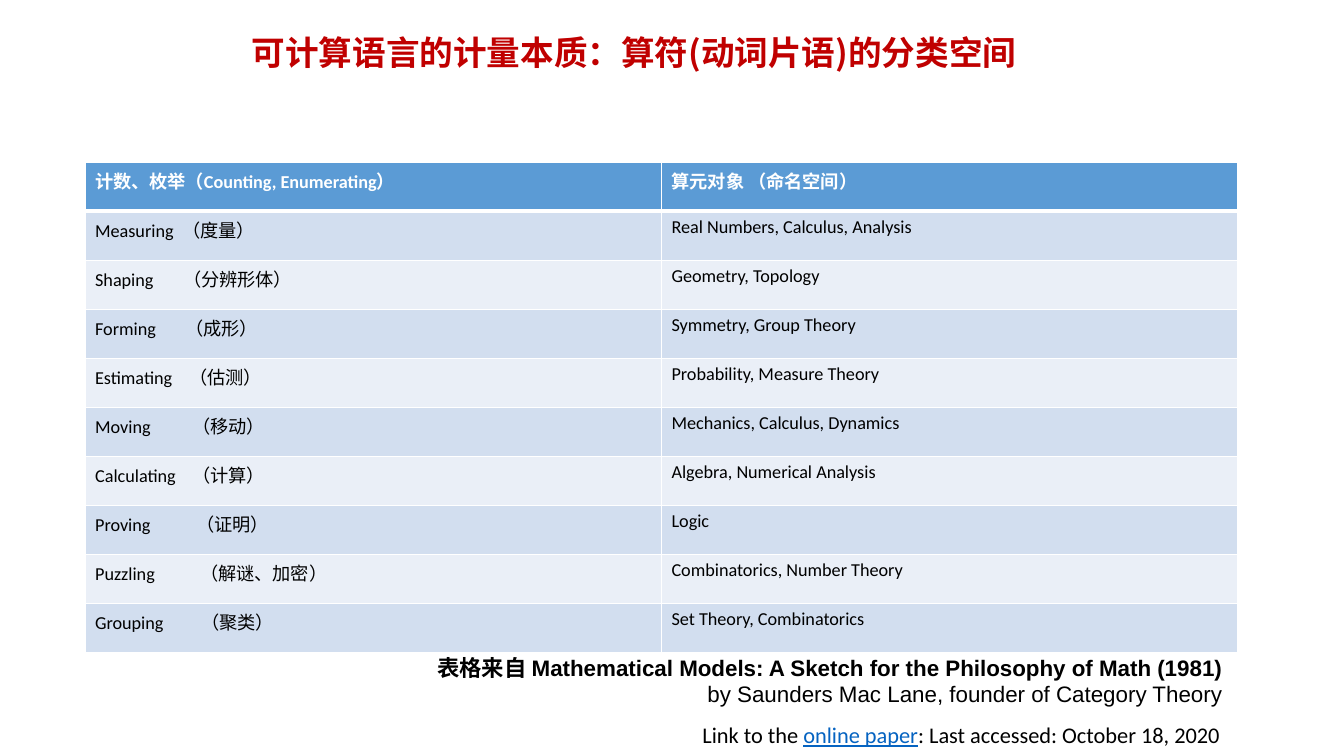
from lxml import etree
from pptx import Presentation
from pptx.dml.color import RGBColor
from pptx.enum.text import MSO_ANCHOR, PP_ALIGN
from pptx.oxml.ns import qn
from pptx.util import Pt

CENTER, MIDDLE = PP_ALIGN.CENTER, MSO_ANCHOR.MIDDLE
RED = RGBColor(0xC0, 0x00, 0x00)
BLACK = RGBColor(0x00, 0x00, 0x00)
WHITE = RGBColor(0xFF, 0xFF, 0xFF)
LINK_BLUE = RGBColor(0x05, 0x63, 0xC1)
HEADER_BLUE = RGBColor(0x5B, 0x9B, 0xD5)
BANDS = (RGBColor(0xEA, 0xEF, 0xF7), RGBColor(0xD2, 0xDE, 0xEF))
CJK_FONT = "Noto Sans CJK SC"

# Content
TITLE = "可计算语言的计量本质：算符(动词片语)的分类空间"
HEADER = ("计数、枚举（Counting, Enumerating）", "算元对象 （命名空间）")
# Verb, its Chinese gloss, tab stop of the gloss in px, fields
ACTIVITIES = [
    ("Measuring", "（度量）", 87, "Real Numbers, Calculus, Analysis"),
    ("Shaping", "（分辨形体）", 88, "Geometry, Topology"),
    ("Forming", "（成形）", 90, "Symmetry, Group Theory"),
    ("Estimating", "（估测）", 94, "Probability, Measure Theory"),
    ("Moving", "（移动）", 97, "Mechanics, Calculus, Dynamics"),
    ("Calculating", "（计算）", 97, "Algebra, Numerical Analysis"),
    ("Proving", "（证明）", 101, "Logic"),
    ("Puzzling", "（解谜、加密）", 105, "Combinatorics, Number Theory"),
    ("Grouping", "（聚类）", 106, "Set Theory, Combinatorics"),
]
# Left, top, width, height in px; font; bold; spans as (text, is link)
CAPTIONS = [
    ((427, 648, 878, 37), "Arial", True,
     [("表格来自 Mathematical Models: A Sketch for the Philosophy of Math (1981)", False)]),
    ((697, 674, 539, 37), "Arial", False,
     [("by Saunders Mac Lane, founder of Category Theory", False)]),
    ((692, 715, 544, 37), "Calibri", False,
     [("Link to the ", False), ("online paper", True),
      (": Last accessed: October 18, 2020", False)]),
]
TABLE_LEFT, TABLE_TOP, COLUMN_WIDTH, ROW_HEIGHT = 85, 162, 576, 49


def px(*lengths):
    return [length * 9080 for length in lengths]


def style(span, font, size, color, bold=False):
    span.font.name = font
    span.font.size = Pt(size)
    span.font.bold = bold
    span.font.color.rgb = color
    east_asian = etree.SubElement(span.font._element, qn("a:ea"))
    east_asian.set("typeface", CJK_FONT)


def add_border(cell, side, points):
    line = etree.SubElement(cell._tc.get_or_add_tcPr(), qn("a:ln" + side))
    line.set("w", str(Pt(points)))
    fill = etree.SubElement(line, qn("a:solidFill"))
    etree.SubElement(fill, qn("a:srgbClr")).set("val", str(WHITE))


def add_tab_stop(para, position):
    tabs = etree.SubElement(para._p.get_or_add_pPr(), qn("a:tabLst"))
    tab = etree.SubElement(tabs, qn("a:tab"))
    tab.set("pos", str(px(position)[0]))
    tab.set("algn", "l")


deck = Presentation()
deck.slide_width, deck.slide_height = px(1343, 755)
page = deck.slides.add_slide(deck.slide_layouts[5])

# Title
title = page.shapes.title
title.left, title.top, title.width, title.height = px(29, 29, 1209, 51)
title.text_frame.text = TITLE
title.text_frame.vertical_anchor = MIDDLE
para = title.text_frame.paragraphs[0]
para.alignment = CENTER
para.line_spacing = 0.9
style(para.runs[0], CJK_FONT, 24, RED, True)

# Table
rows = [HEADER] + [(f"{verb}\t{gloss}", fields) for verb, gloss, _, fields in ACTIVITIES]
table = page.shapes.add_table(
    len(rows), 2, *px(TABLE_LEFT, TABLE_TOP, 2 * COLUMN_WIDTH, len(rows) * ROW_HEIGHT)).table
for row_index, texts in enumerate(rows):
    is_header = row_index == 0
    table.rows[row_index].height = px(ROW_HEIGHT)[0]
    for column_index, text in enumerate(texts):
        cell = table.cell(row_index, column_index)
        for side in "LRTB":
            thick = (row_index, side) in ((0, "B"), (1, "T"))
            add_border(cell, side, 3 if thick else 1)
        cell.fill.solid()
        cell.fill.fore_color.rgb = HEADER_BLUE if is_header else BANDS[row_index % 2]
        para = cell.text_frame.paragraphs[0]
        para.text = text
        if column_index == 0 and not is_header:
            add_tab_stop(para, ACTIVITIES[row_index - 1][2])
        style(para.runs[0], "Calibri", 13, WHITE if is_header else BLACK, is_header)

# Source captions
for place, font, bold, spans in CAPTIONS:
    box = page.shapes.add_textbox(*px(*place))
    box.text_frame.word_wrap = True
    para = box.text_frame.paragraphs[0]
    for text, is_link in spans:
        span = para.add_run()
        span.text = text
        style(span, font, 16, LINK_BLUE if is_link else BLACK, bold)
        span.font.underline = is_link

deck.save("out.pptx")
